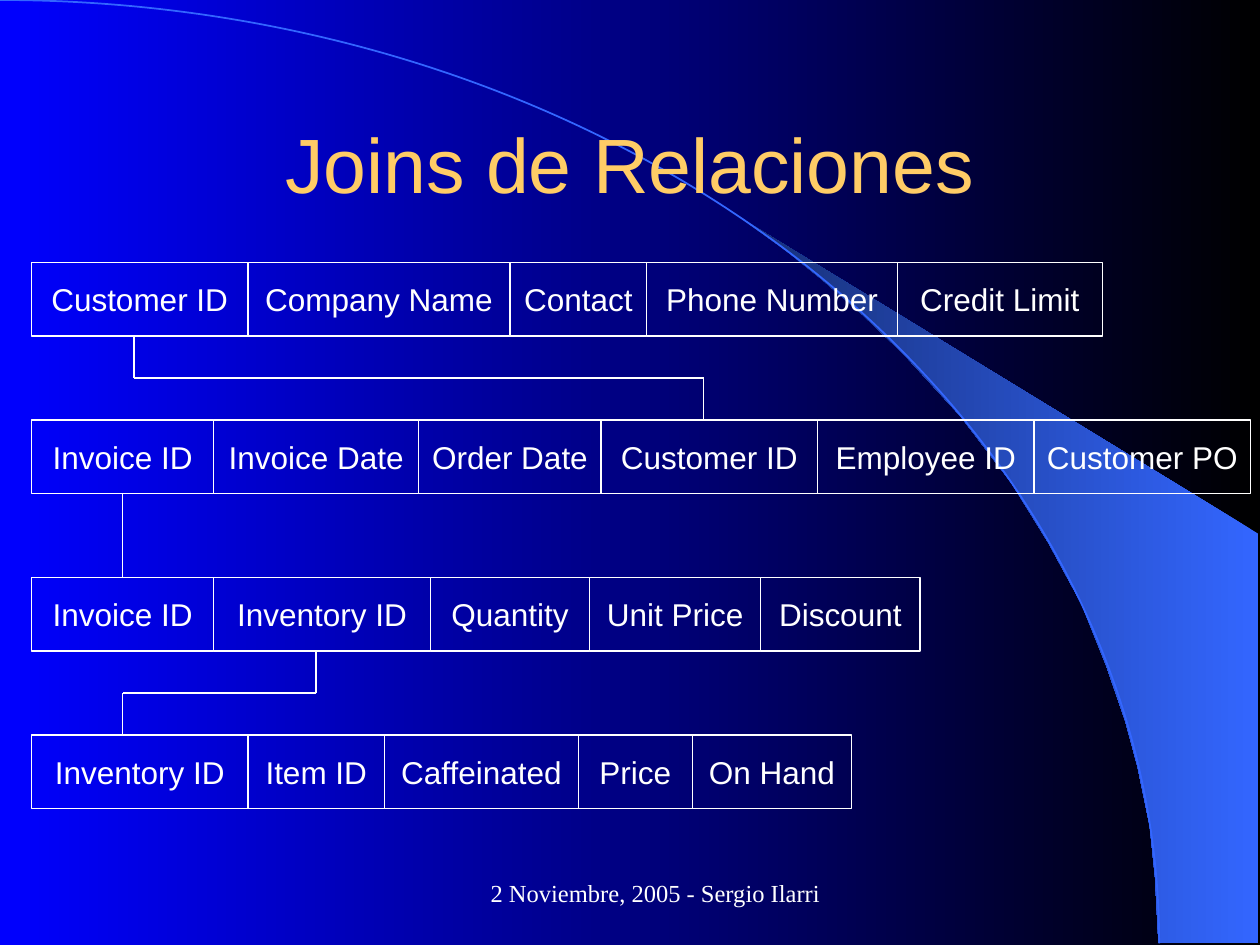
from dataclasses import dataclass
from itertools import pairwise

from lxml import etree
from pptx import Presentation
from pptx import util as u
from pptx.dml.color import RGBColor
from pptx.enum import shapes, text
from pptx.oxml.ns import qn


@dataclass(frozen=True)
class Theme:
    black: str = "000000"
    blue: str = "0000FF"
    bright: str = "3366FF"
    navy: str = "172F75"
    gold: str = "FFCC66"
    white: str = "FFFFFF"
    sans: str = "Arial"
    serif: str = "Times New Roman"
    title_size: int = 44
    cell_size: int = 18
    footer_size: int = 14


LEFT = 18
UNIT = 6.51
ROW_TOP = 150
ROW_STEP = 90
ROW_HEIGHT = 42

TABLES = [
    [("Customer ID", 19), ("Company Name", 23), ("Contact", 12),
     ("Phone Number", 22), ("Credit Limit", 18)],
    [("Invoice ID", 16), ("Invoice Date", 18), ("Order Date", 16),
     ("Customer ID", 19), ("Employee ID", 19), ("Customer PO", 19)],
    [("Invoice ID", 16), ("Inventory ID", 19), ("Quantity", 14),
     ("Unit Price", 15), ("Discount", 14)],
    [("Inventory ID", 19), ("Item ID", 12), ("Caffeinated", 17),
     ("Price", 10), ("On Hand", 14)],
]
JOINS = [(9, 59), (8, 8), (25, 8)]
SWOOSH = [
    (662, 539), (719, 539), (719, 305), (424, 125), (449, 143), (470, 160),
    (493, 180), (516, 202), (549, 238), (578, 276), (599, 310), (618, 345),
    (632, 380), (643, 412), (650, 438), (657, 472), (660, 501),
]


class SlideBuilder:
    def __init__(self, page, theme):
        self.page = page
        self.theme = theme

    def gradient(self, fill, colors):
        fill.gradient()
        fill.gradient_angle = 180
        for stop, color in zip(fill.gradient_stops, colors):
            stop.color.rgb = RGBColor.from_string(color)

    def stroke(self, line, color, width):
        line.color.rgb = RGBColor.from_string(color)
        line.width = u.Pt(width)

    def set_text(self, box, words, font, size, color, wrap=True, indent=0):
        frame = box.text_frame
        frame.word_wrap = wrap
        frame.vertical_anchor = text.MSO_ANCHOR.MIDDLE
        para = frame.paragraphs[0]
        para.text = words
        para.alignment = text.PP_ALIGN.CENTER
        if indent:
            para._p.get_or_add_pPr().set("marL", str(u.Pt(indent)))
        para.font.name = font
        para.font.size = u.Pt(size)
        para.font.color.rgb = RGBColor.from_string(color)

    def label(self, area, words, font, size, color, indent=0):
        box = self.page.shapes.add_textbox(*map(u.Pt, area))
        self.set_text(box, words, font, size, color, indent=indent)

    def swoosh(self, points):
        builder = self.page.shapes.build_freeform(*points[0], scale=u.Pt(1))
        builder.add_line_segments(points[1:], close=True)
        shape = builder.convert_to_shape()
        shape.shadow.inherit = False
        self.gradient(shape.fill, (self.theme.bright, self.theme.navy))
        shape.line.fill.background()

    def outline(self, kind, area, color, width):
        shape = self.page.shapes.add_shape(kind, *map(u.Pt, area))
        shape.shadow.inherit = False
        shape.fill.background()
        self.stroke(shape.line, color, width)
        return shape

    def table_row(self, top, columns):
        left = LEFT
        cells = []
        for words, units in columns:
            width = units * UNIT
            cell = self.outline(shapes.MSO_SHAPE.RECTANGLE,
                                (left, top, width, ROW_HEIGHT), self.theme.white, 0.75)
            self.set_text(cell, words, self.theme.sans, self.theme.cell_size,
                          self.theme.white, wrap=False)
            cells.append(cell)
            left += width
        return cells

    def segment(self, start, end):
        line = self.page.shapes.add_connector(
            shapes.MSO_CONNECTOR.STRAIGHT, *map(u.Pt, start + end))
        etree.SubElement(line._element.spPr, qn("a:effectLst"))
        self.stroke(line.line, self.theme.white, 1)
        return line

    def join(self, top, start_units, end_units):
        start, end = (LEFT + units * UNIT for units in (start_units, end_units))
        gap = ROW_STEP - ROW_HEIGHT
        middle = top + gap / 2
        points = [(start, top), (start, middle), (end, middle), (end, top + gap)]
        return [self.segment(a, b) for a, b in pairwise(points) if a != b]


def main():
    theme = Theme()
    deck = Presentation()
    deck.slide_width, deck.slide_height = u.Pt(720), u.Pt(540)
    page = deck.slides.add_slide(deck.slide_layouts[6])
    slide = SlideBuilder(page, theme)

    slide.gradient(page.background.fill, (theme.black, theme.blue))
    slide.swoosh(SWOOSH)
    slide.outline(shapes.MSO_SHAPE.ARC, (-662.4, 0, 1324.8, 1078), theme.bright, 1)
    slide.label((54, 48, 612, 90), "Joins de Relaciones",
                theme.sans, theme.title_size, theme.gold)

    tops = [ROW_TOP + index * ROW_STEP for index in range(len(TABLES))]
    rows = [slide.table_row(top, columns) for top, columns in zip(tops, TABLES)]
    joins = [slide.join(top + ROW_HEIGHT, *ends) for top, ends in zip(tops, JOINS)]
    invoice_join = joins[1]
    invoice_join[0].begin_connect(rows[1][0], 2)
    invoice_join[-1].end_connect(rows[2][0], 0)

    slide.label((216, 492, 300, 36), "2 Noviembre, 2005 - Sergio Ilarri",
                theme.serif, theme.footer_size, theme.white, indent=17)
    deck.save("out.pptx")


if __name__ == "__main__":
    main()
